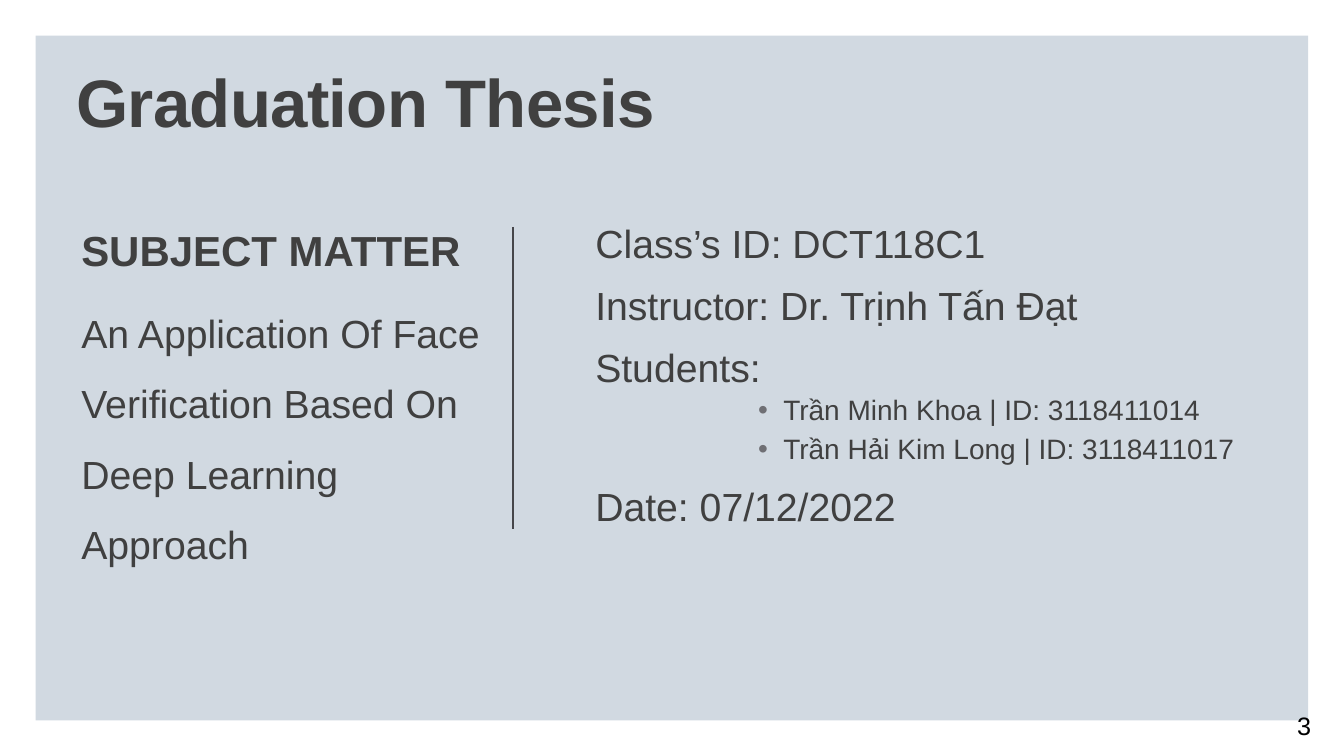
from dataclasses import dataclass

from lxml.etree import SubElement
from pptx import Presentation
from pptx.dml.color import RGBColor
from pptx.enum.shapes import MSO_CONNECTOR as Connector, MSO_SHAPE as Shape
from pptx.enum.text import MSO_ANCHOR as Anchor, MSO_AUTO_SIZE as AutoSize, PP_ALIGN as Align
from pptx.oxml.ns import qn
from pptx.util import Pt

PX = 9525  # EMU per px, 96 px to the inch


@dataclass(frozen=True)
class Theme:
    font: str = "Arial"
    background: str = "FFFFFF"
    panel: str = "D1D9E1"
    text: str = "404040"
    rule: str = "46464A"
    bullet: str = "6F6F74"
    number: str = "000000"
    title_size: int = 48
    heading_size: int = 30
    body_size: int = 28
    student_size: int = 20
    number_size: int = 18


def rgb(value):
    return RGBColor.from_string(value)


class SlideBuilder:
    def __init__(self, presentation, theme):
        self.theme = theme
        self.slide = presentation.slides.add_slide(presentation.slide_layouts[5])
        fill = self.slide.background.fill
        fill.solid()
        fill.fore_color.rgb = rgb(theme.background)

    def style(self, paragraph, size, color=None, bold=False, spacing=None, before=0, after=0):
        font = paragraph.font
        font.name, font.size, font.bold = self.theme.font, Pt(size), bold
        font.color.rgb = rgb(color or self.theme.text)
        paragraph.line_spacing = spacing
        paragraph.space_before, paragraph.space_after = Pt(before), Pt(after)

    def panel(self, left, top, width, height):
        shape = self.slide.shapes.add_shape(
            Shape.RECTANGLE, left * PX, top * PX, width * PX, height * PX)
        shape.shadow.inherit = False
        shape.fill.solid()
        shape.fill.fore_color.rgb = rgb(self.theme.panel)
        shape.line.fill.background()

    def title(self, text, left, top, width, height):
        title = self.slide.shapes.title
        title.left, title.top = left * PX, top * PX
        title.width, title.height = width * PX, height * PX
        frame = title.text_frame
        frame.text = text
        frame.auto_size, frame.vertical_anchor = AutoSize.NONE, Anchor.MIDDLE
        paragraph = frame.paragraphs[0]
        paragraph.alignment = Align.CENTER
        self.style(paragraph, self.theme.title_size, bold=True, spacing=0.85)
        paragraph.runs[0].font._element.set("spc", "-50")

    def divider(self, x, top, bottom):
        line = self.slide.shapes.add_connector(
            Connector.STRAIGHT, x * PX, top * PX, x * PX, bottom * PX)
        line.line.color.rgb = rgb(self.theme.rule)
        line.line.width = Pt(1.5)
        SubElement(line._element.spPr, qn("a:effectLst"))

    def text_frame(self, left, top, width, height, wrap=True):
        box = self.slide.shapes.add_textbox(left * PX, top * PX, width * PX, height * PX)
        box.text_frame.word_wrap = wrap
        return box.text_frame

    def text(self, text, left, top, width, height, size, wrap=True, **style):
        frame = self.text_frame(left, top, width, height, wrap)
        frame.auto_size = AutoSize.SHAPE_TO_FIT_TEXT
        frame.text = text
        self.style(frame.paragraphs[0], size, **style)

    def bullet(self, paragraph, margin, hanging):
        paragraph.level = 8
        properties = paragraph._p.get_or_add_pPr()
        properties.set("marL", str(margin * PX))
        properties.set("indent", str(-hanging * PX))
        color = SubElement(properties, qn("a:buClr"))
        SubElement(color, qn("a:srgbClr"), val=self.theme.bullet)
        SubElement(properties, qn("a:buFont"), typeface=self.theme.font)
        SubElement(properties, qn("a:buChar"), char="•")

    def details(self, entries, left, top, width, height):
        """Each entry is a text and whether it is a bulleted student."""
        frame = self.text_frame(left, top, width, height)
        frame.vertical_anchor = Anchor.MIDDLE
        frame.margin_left = frame.margin_right = 0
        for index, (text, is_student) in enumerate(entries):
            paragraph = frame.add_paragraph() if index else frame.paragraphs[0]
            paragraph.text = text
            if is_student:
                self.bullet(paragraph, margin=179, hanging=24)
                self.style(paragraph, self.theme.student_size, spacing=0.9, before=2, after=4)
            else:
                self.style(paragraph, self.theme.body_size, spacing=0.9,
                           before=12 if index else 0, after=2)


def main():
    presentation = Presentation()
    presentation.slide_width, presentation.slide_height = 1280 * PX, 720 * PX
    theme = Theme()
    builder = SlideBuilder(presentation, theme)

    # Panel and title; the panel goes behind the title placeholder
    builder.panel(34, 34, 1212, 652)
    shape_tree = builder.slide.shapes._spTree
    shape_tree.append(builder.slide.shapes.title._element)
    builder.title("Graduation Thesis", 34, 50, 628, 104)

    # Class details, right of the divider
    builder.divider(489, 216, 504)
    builder.details([
        ("Class’s ID: DCT118C1", False),
        ("Instructor: Dr. Trịnh Tấn Đạt", False),
        ("Students:", False),
        ("Trần Minh Khoa | ID: 3118411014", True),
        ("Trần Hải Kim Long | ID: 3118411017", True),
        ("Date: 07/12/2022", False),
    ], 567, 209, 680, 301)

    # Subject matter, left of the divider
    builder.text("An Application Of Face Verification Based On Deep Learning Approach",
                 68, 267, 420, 273, theme.body_size, spacing=1.5, after=2)
    builder.text("SUBJECT MATTER", 68, 185, 384, 73, theme.heading_size,
                 wrap=False, bold=True, spacing=1.5, after=2)

    # Slide number
    builder.text("3", 1226, 672, 54, 38, theme.number_size, color=theme.number)

    presentation.save("out.pptx")


if __name__ == "__main__":
    main()
